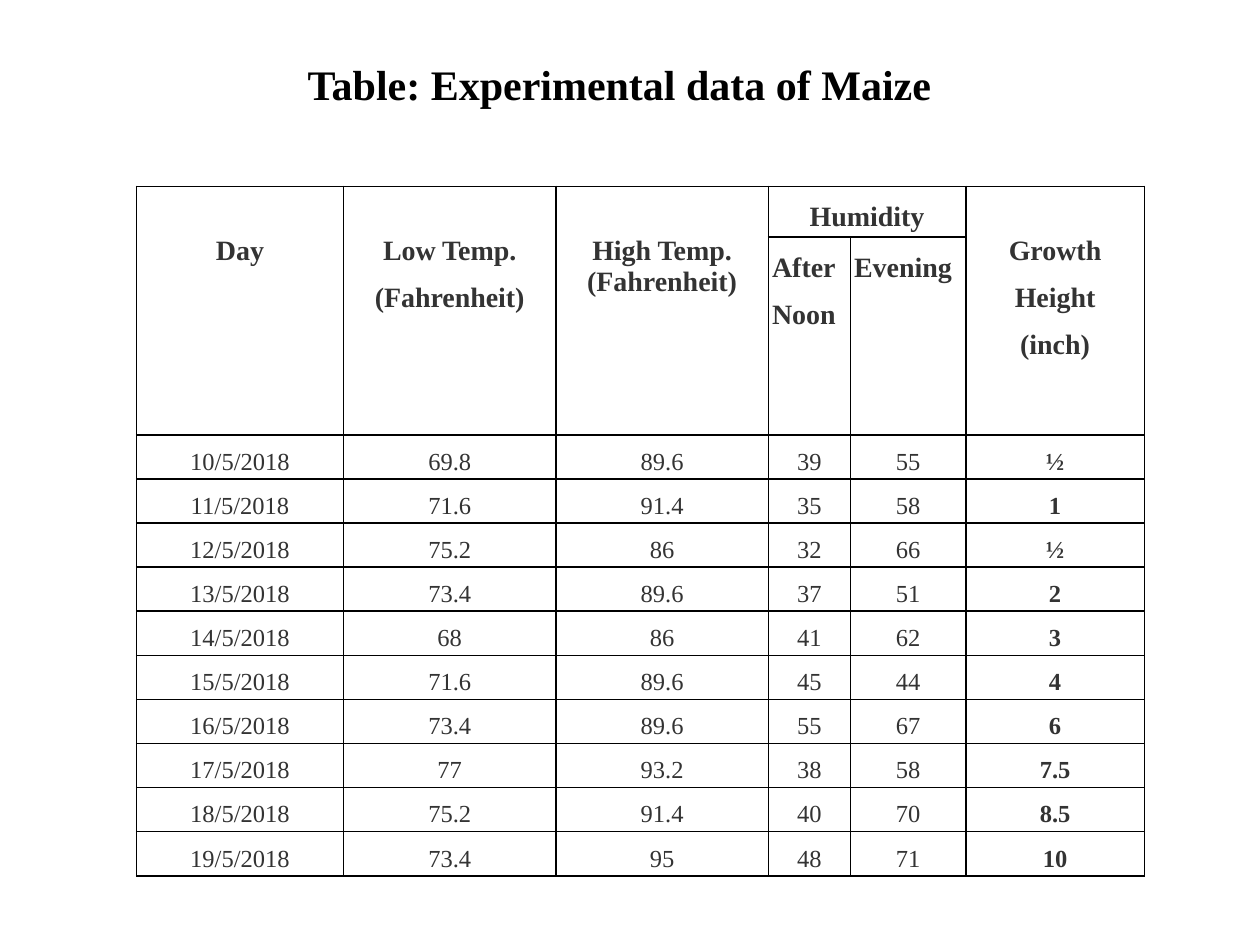
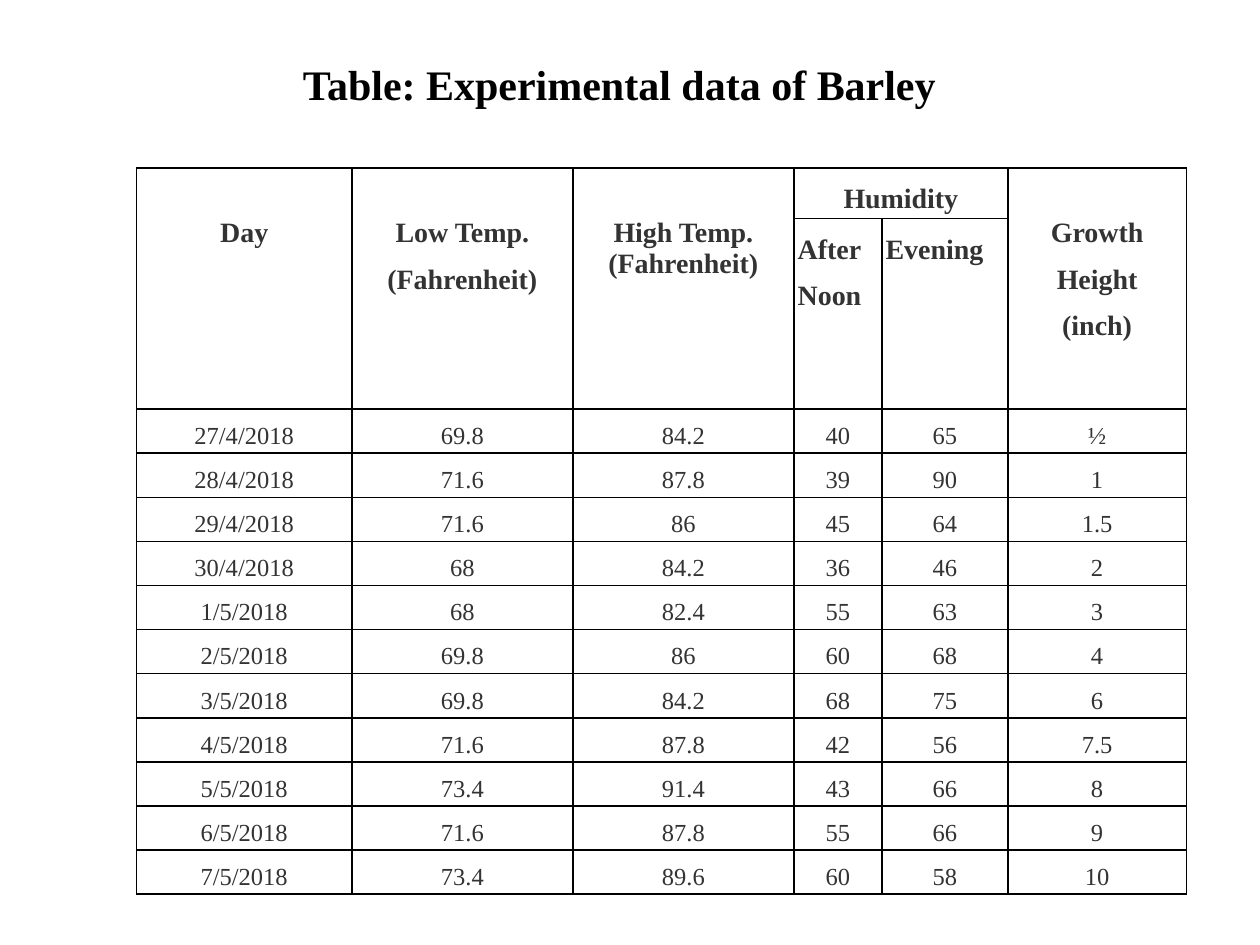
from pptx import Presentation
from pptx.dml.color import RGBColor
from pptx.enum.text import MSO_ANCHOR, MSO_AUTO_SIZE, PP_ALIGN
from pptx.oxml import parse_xml
from pptx.oxml.ns import nsdecls
from pptx.util import Pt

CENTER, JUSTIFY = PP_ALIGN.CENTER, PP_ALIGN.JUSTIFY
TOP, NO_FIT = MSO_ANCHOR.TOP, MSO_AUTO_SIZE.NONE

COLORS = {"title": "000000", "text": "333333", "border": "000000"}
FONT = "Times New Roman"
LINE_SPACING = 1.5
SIDE_MARGIN = 2.16
TALL_HEADER_MARGIN = 19.4
TOP_HEADER_HEIGHT, DATA_HEIGHT = 28.9, 25.2

# (row, column, last row, last column, alignment, [(text, line spacing)])
HEADERS = [
    (0, 0, 1, 0, CENTER, [("Day", LINE_SPACING)]),
    (0, 1, 1, 1, CENTER, [("Low Temp.", LINE_SPACING), ("(Fahrenheit)", LINE_SPACING)]),
    (0, 2, 1, 2, CENTER, [("High Temp.", LINE_SPACING), ("(Fahrenheit)", 1.0)]),
    (0, 3, 0, 4, CENTER, [("Humidity", LINE_SPACING)]),
    (0, 5, 1, 5, CENTER, [("Growth Height", LINE_SPACING), ("(inch)", LINE_SPACING)]),
    (1, 3, 1, 3, JUSTIFY, [("After Noon", LINE_SPACING)]),
    (1, 4, 1, 4, JUSTIFY, [("Evening", LINE_SPACING)]),
]

CROPS = [
    {
        "name": "Maize", "top": 106.5, "sub_header": 113.1, "bold_growth": True,
        "widths": [118.3, 121.4, 121.4, 46.9, 66, 102],
        "rows": [
            ("10/5/2018", "69.8", "89.6", "39", "55", "½"),
            ("11/5/2018", "71.6", "91.4", "35", "58", "1"),
            ("12/5/2018", "75.2", "86", "32", "66", "½"),
            ("13/5/2018", "73.4", "89.6", "37", "51", "2"),
            ("14/5/2018", "68", "86", "41", "62", "3"),
            ("15/5/2018", "71.6", "89.6", "45", "44", "4"),
            ("16/5/2018", "73.4", "89.6", "55", "67", "6"),
            ("17/5/2018", "77", "93.2", "38", "58", "7.5"),
            ("18/5/2018", "75.2", "91.4", "40", "70", "8.5"),
            ("19/5/2018", "73.4", "95", "48", "71", "10"),
        ],
    },
    {
        "name": "Barley", "top": 96, "sub_header": 108.9, "bold_growth": False,
        "widths": [123.1, 126.3, 126.3, 50.3, 72, 102],
        "rows": [
            ("27/4/2018", "69.8", "84.2", "40", "65", "½"),
            ("28/4/2018", "71.6", "87.8", "39", "90", "1"),
            ("29/4/2018", "71.6", "86", "45", "64", "1.5"),
            ("30/4/2018", "68", "84.2", "36", "46", "2"),
            ("1/5/2018", "68", "82.4", "55", "63", "3"),
            ("2/5/2018", "69.8", "86", "60", "68", "4"),
            ("3/5/2018", "69.8", "84.2", "68", "75", "6"),
            ("4/5/2018", "71.6", "87.8", "42", "56", "7.5"),
            ("5/5/2018", "73.4", "91.4", "43", "66", "8"),
            ("6/5/2018", "71.6", "87.8", "55", "66", "9"),
            ("7/5/2018", "73.4", "89.6", "60", "58", "10"),
        ],
    },
]


def add_text(p, text, size, color, bold, align=CENTER, spacing=1.0):
    p.alignment = align
    p.line_spacing = spacing
    r = p.add_run()
    r.text = text
    r.font.name = FONT
    r.font.size = Pt(size)
    r.font.bold = bold
    r.font.color.rgb = RGBColor.from_string(COLORS[color])


def frame_cell(cell):
    """Give a cell narrow margins, four thin borders and no fill."""
    cell.margin_left = cell.margin_right = Pt(SIDE_MARGIN)
    cell.margin_top = cell.margin_bottom = Pt(0)
    tcPr = cell._tc.get_or_add_tcPr()
    for side in ("lnL", "lnR", "lnT", "lnB"):
        tcPr.append(parse_xml(
            f'<a:{side} {nsdecls("a")} w="{Pt(1)}"><a:solidFill>'
            f'<a:srgbClr val="{COLORS["border"]}"/></a:solidFill></a:{side}>'))
    cell.fill.background()


prs = Presentation()
prs.slide_width, prs.slide_height = Pt(720), Pt(540)

for crop in CROPS:
    s = prs.slides.add_slide(prs.slide_layouts[5])

    title = s.shapes.title
    title.left, title.top, title.width, title.height = Pt(84), Pt(30), Pt(540), Pt(36)
    tf = title.text_frame
    tf.word_wrap = True
    tf.auto_size = NO_FIT
    tf.vertical_anchor = TOP
    add_text(tf.paragraphs[0], f"Table: Experimental data of {crop['name']}",
             24, "title", True)

    widths = crop["widths"]
    heights = [TOP_HEADER_HEIGHT, crop["sub_header"]] + [DATA_HEIGHT] * len(crop["rows"])
    table = s.shapes.add_table(len(heights), len(widths), Pt(78), Pt(crop["top"]),
                               Pt(sum(widths)), Pt(sum(heights))).table
    table.first_row = table.horz_banding = False
    for column, width in zip(table.columns, widths):
        column.width = Pt(width)
    for row, height in zip(table.rows, heights):
        row.height = Pt(height)
    for cell in table.iter_cells():
        frame_cell(cell)

    for row, col, last_row, last_col, align, lines in HEADERS:
        cell = table.cell(row, col)
        if (row, col) != (last_row, last_col):
            cell.merge(table.cell(last_row, last_col))
        if last_row > row:
            cell.margin_top = Pt(TALL_HEADER_MARGIN)
        tf = cell.text_frame
        for i, (text, spacing) in enumerate(lines):
            p = tf.add_paragraph() if i else tf.paragraphs[0]
            add_text(p, text, 16, "text", True, align, spacing)

    growth_col = len(widths) - 1
    for row, values in enumerate(crop["rows"], start=2):
        for col, value in enumerate(values):
            bold = crop["bold_growth"] and col == growth_col
            add_text(table.cell(row, col).text_frame.paragraphs[0], value,
                     14, "text", bold, spacing=LINE_SPACING)

prs.save("out.pptx")
